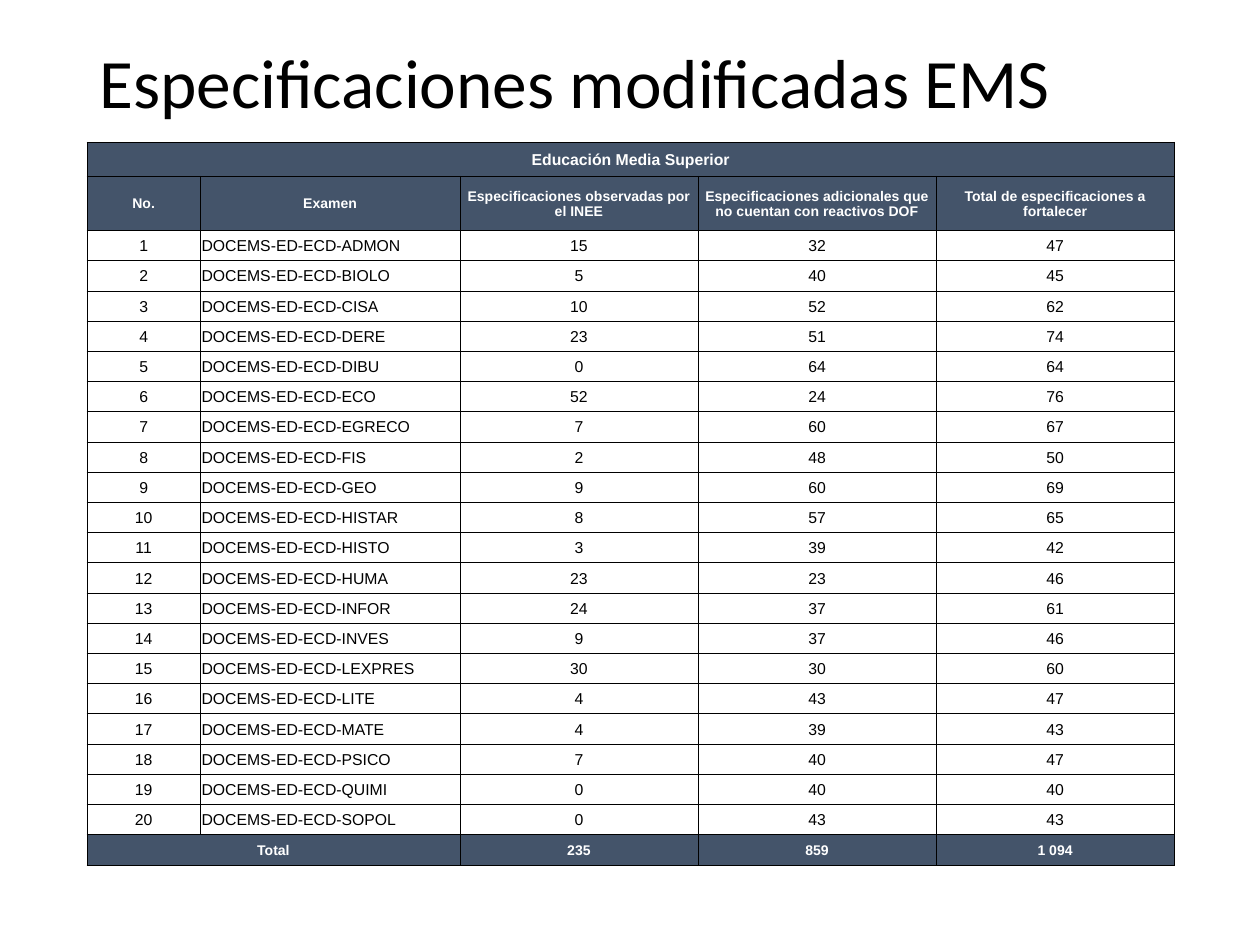
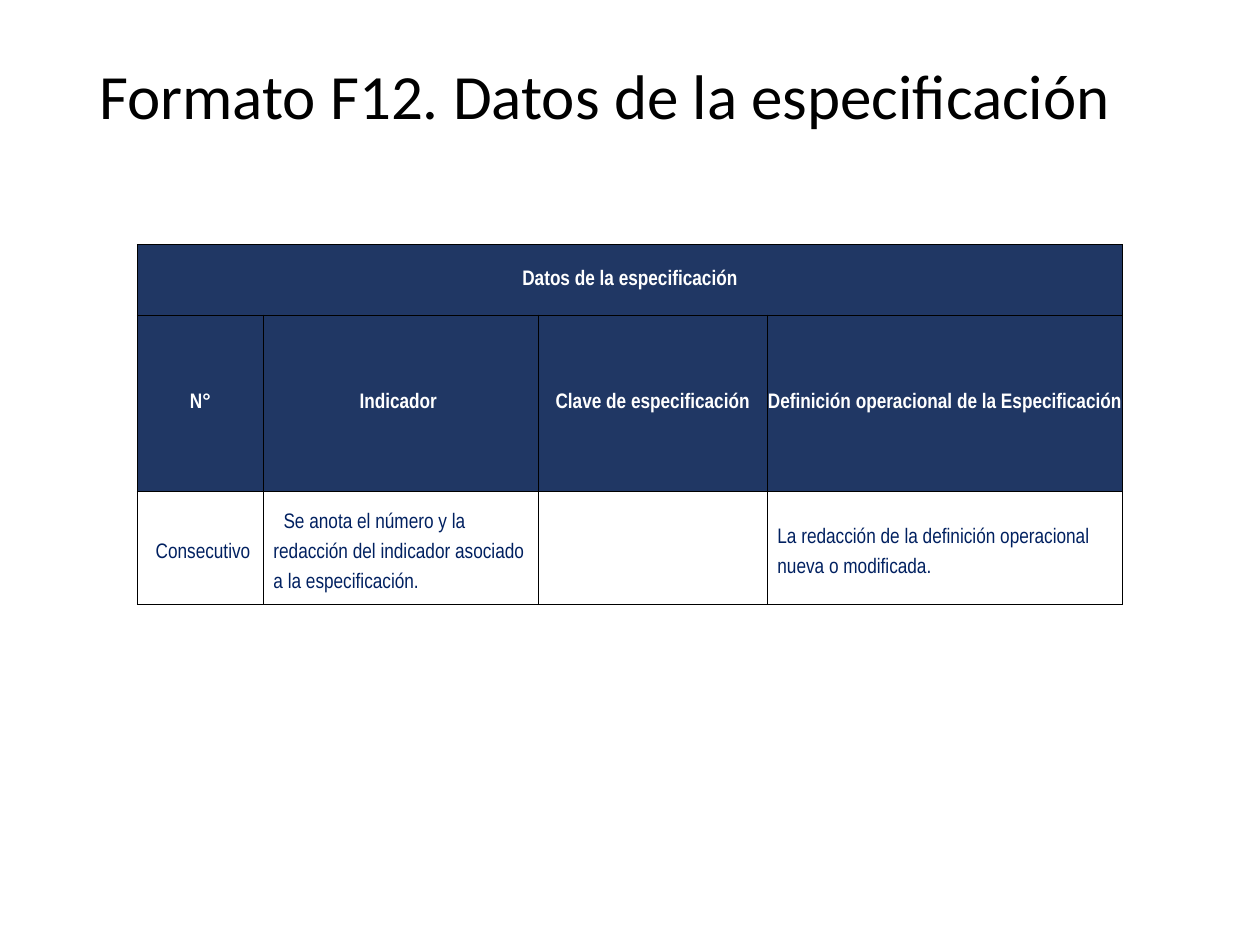
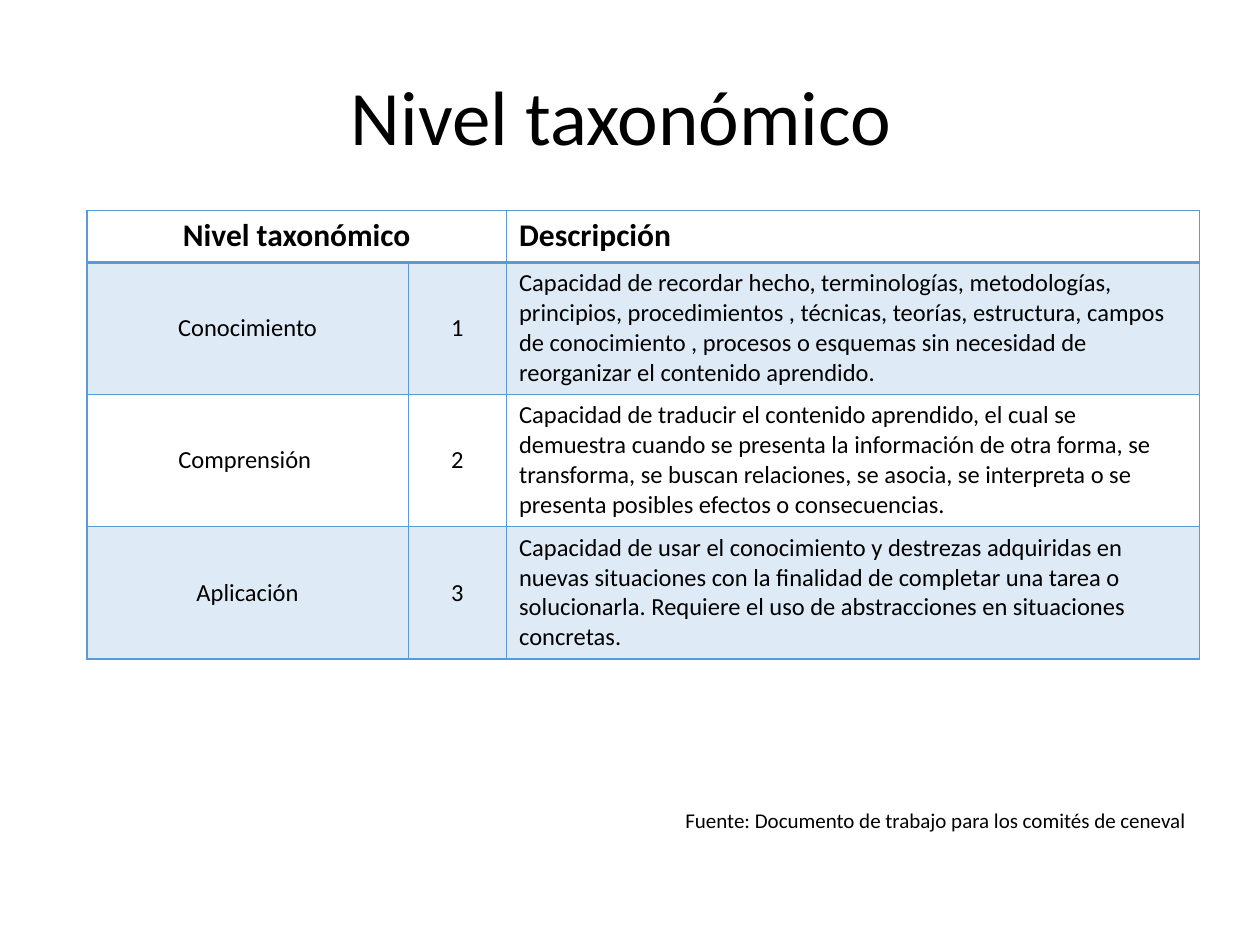
from pptx import Presentation
from pptx import util as u
from pptx.dml.color import RGBColor
from pptx.enum import text
from pptx.oxml import parse_xml
from pptx.oxml.ns import nsdecls

COLORS = {
    "ink": "000000", "white": "FFFFFF", "slate": "44546A", "navy": "203764",
    "navy_text": "002060", "blue": "5B9BD5", "pale": "DEEBF7",
}
LEFT, CENTER = text.PP_ALIGN.LEFT, text.PP_ALIGN.CENTER
RIGHT, JUSTIFY = text.PP_ALIGN.RIGHT, text.PP_ALIGN.JUSTIFY
MIDDLE, TOP = text.MSO_ANCHOR.MIDDLE, text.MSO_ANCHOR.TOP

EXAMS = [
    ("ADMON", 15, 32), ("BIOLO", 5, 40), ("CISA", 10, 52), ("DERE", 23, 51),
    ("DIBU", 0, 64), ("ECO", 52, 24), ("EGRECO", 7, 60), ("FIS", 2, 48),
    ("GEO", 9, 60), ("HISTAR", 8, 57), ("HISTO", 3, 39), ("HUMA", 23, 23),
    ("INFOR", 24, 37), ("INVES", 9, 37), ("LEXPRES", 30, 30), ("LITE", 4, 43),
    ("MATE", 4, 39), ("PSICO", 7, 40), ("QUIMI", 0, 40), ("SOPOL", 0, 43),
]

LEVELS = [
    ("Conocimiento",
     "Capacidad de recordar hecho, terminologías, metodologías, principios, procedimientos , "
     "técnicas, teorías, estructura, campos de conocimiento , procesos o esquemas sin necesidad "
     "de reorganizar el contenido aprendido."),
    ("Comprensión ",
     "Capacidad de traducir el contenido aprendido, el cual se demuestra cuando se presenta la "
     "información de otra forma, se transforma, se buscan relaciones, se asocia, se interpreta o "
     "se presenta posibles efectos o consecuencias."),
    ("Aplicación",
     "Capacidad de usar el conocimiento y destrezas adquiridas en nuevas situaciones con la "
     "finalidad de completar una tarea o solucionarla. Requiere el uso de abstracciones en "
     "situaciones concretas."),
]


def rgb(name):
    """Return the named colour."""
    return RGBColor.from_string(COLORS[name])


def style(p, size, font, color="ink", bold=False, align=LEFT):
    """Format a paragraph and its runs."""
    p.alignment = align
    for r in p.runs:
        r.font.size, r.font.name, r.font.bold = u.Pt(size), font, bold
        r.font.color.rgb = rgb(color)


def add_text(s, box, content, size, align=LEFT, anchor=TOP):
    """Add a one-paragraph Calibri text box and return the paragraph."""
    tf = s.shapes.add_textbox(*map(u.Inches, box)).text_frame
    tf.word_wrap, tf.vertical_anchor = True, anchor
    tf.text = content
    p = tf.paragraphs[0]
    style(p, size, "Calibri", align=align)
    return p


def add_title(s, content, height, size, align=LEFT):
    """Add the slide title."""
    p = add_text(s, (0.69, 0.4, 8.62, height), content, size, align, MIDDLE)
    p.line_spacing = 0.9


def add_grid(s, left, top, cols, rows):
    """Add a plain table with the given column widths and row heights."""
    box = map(u.Inches, (left, top, sum(cols), sum(rows)))
    table = s.shapes.add_table(len(rows), len(cols), *box).table
    table.first_row = table.horz_banding = False
    for col, width in zip(table.columns, cols):
        col.width = u.Inches(width)
    for row, height in zip(table.rows, rows):
        row.height = u.Inches(height)
    return table


def set_borders(cell, color, **widths):
    """Draw the four cell borders, given as L, R, T and B widths in points."""
    tc_pr = cell._tc.get_or_add_tcPr()
    for i, side in enumerate("LRTB"):
        tc_pr.insert(i, parse_xml(
            f'<a:ln{side} {nsdecls("a")} w="{u.Pt(widths[side])}"><a:solidFill>'
            f'<a:srgbClr val="{COLORS[color]}"/></a:solidFill></a:ln{side}>'))


def set_cell(cell, content, size, font, color="ink", bold=False, align=CENTER,
             anchor=MIDDLE, fill=None, margins=None):
    """Fill in a cell and return its paragraph."""
    cell.text = content
    cell.vertical_anchor = anchor
    if margins:
        (cell.margin_left, cell.margin_top,
         cell.margin_right, cell.margin_bottom) = map(u.Inches, margins)
    if fill:
        cell.fill.solid()
        cell.fill.fore_color.rgb = rgb(fill)
    else:
        cell.fill.background()
    p = cell.text_frame.paragraphs[0]
    style(p, size, font, color, bold, align)
    return p


def exams_slide(s):
    """Build the table of modified specifications per exam."""
    add_title(s, "Especificaciones modificadas EMS", 0.56, 39.6)
    observed = sum(e[1] for e in EXAMS)
    added = sum(e[2] for e in EXAMS)
    rows = [
        ["Educación Media Superior", "", "", "", ""],
        ["No.", "Examen", "Especificaciones observadas por el INEE",
         "Especificaciones adicionales que no cuentan con reactivos DOF",
         "Total de especificaciones a fortalecer"],
        *([n, f"DOCEMS-ED-ECD-{key}", a, b, a + b] for n, (key, a, b) in enumerate(EXAMS, 1)),
        ["Total", "", observed, added, f"{observed + added:,}".replace(",", " ")],
    ]
    last = len(rows) - 1
    table = add_grid(s, 0.69, 1.13, [0.9, 2.06, 1.89, 1.89, 1.89],
                     [0.27, 0.43] + [0.24] * (last - 1))
    for i, row in enumerate(rows):
        header = i in (0, 1, last)
        for j, value in enumerate(row):
            cell = table.cell(i, j)
            set_cell(cell, str(value), 8 if i in (1, last) else 9, "Arial",
                     "white" if header else "ink", header,
                     JUSTIFY if j == 1 and not header else CENTER,
                     fill="slate" if header else None, margins=(0.01, 0.01, 0.01, 0))
            set_borders(cell, "ink", L=0.5, R=0.5, T=0.5, B=0.5)
    table.cell(0, 0).merge(table.cell(0, 4))
    table.cell(last, 0).merge(table.cell(last, 1))


def format_slide(s):
    """Build the table that explains the fields of the F12 form."""
    add_title(s, "Formato F12. Datos de la especificación", 0.78, 36)
    rows = [
        ["Datos de la especificación", "", "", ""],
        ["N°", "Indicador ", "Clave de especificación",
         "Definición operacional de la Especificación"],
        ["Consecutivo ",
         "Se anota el número y la redacción del indicador asociado a la especificación.", "",
         "La redacción de la definición operacional nueva o modificada."],
    ]
    table = add_grid(s, 1.09, 1.94, [1, 2.18, 1.82, 2.82], [0.56, 1.4, 0.7])
    for i, row in enumerate(rows):
        header = i < 2
        for j, value in enumerate(row):
            cell = table.cell(i, j)
            p = set_cell(cell, value, 12, "Arial Narrow", "white" if header else "navy_text",
                         header, CENTER if header or j == 0 else LEFT,
                         fill="navy" if header else None, margins=(0, 0, 0, 0))
            if value and not header:
                p.line_spacing = 1.5
                p_pr = p._p.get_or_add_pPr()
                p_pr.set("marL", str(u.Inches(0.08)))
                p_pr.set("indent", str(u.Inches(0.08 if j == 1 else 0)))
            set_borders(cell, "ink", L=0.5, R=0.5, T=0.5, B=0.5)
    table.cell(0, 0).merge(table.cell(0, 3))


def levels_slide(s):
    """Build the table of taxonomic levels with its source line."""
    add_title(s, "Nivel taxonómico ", 1.11, 44, CENTER)
    rows = [["Nivel taxonómico", "", "Descripción"],
            *([name, str(n), about] for n, (name, about) in enumerate(LEVELS, 1))]
    table = add_grid(s, 0.69, 1.67, [2.55, 0.78, 5.5], [0.41] + [1.05] * len(LEVELS))
    for i, row in enumerate(rows):
        header = i == 0
        for j, value in enumerate(row):
            cell = table.cell(i, j)
            set_cell(cell, value, 18 if header else 14, "Calibri", bold=header,
                     align=LEFT if j == 2 else CENTER,
                     anchor=TOP if header or j == 2 else MIDDLE,
                     fill="pale" if i % 2 else None)
            set_borders(cell, "blue", L=1, R=1, T=2 if i == 1 else 1, B=2 if header else 1)
    table.cell(0, 0).merge(table.cell(0, 1))
    add_text(s, (3.29, 6.36, 6.22, 0.3),
             "Fuente: Documento de trabajo para los comités de ceneval", 12, RIGHT)


def main():
    """Build the presentation."""
    prs = Presentation()
    prs.slide_width, prs.slide_height = u.Inches(10), u.Inches(7.5)
    for build in (exams_slide, format_slide, levels_slide):
        build(prs.slides.add_slide(prs.slide_layouts[6]))
    prs.save("out.pptx")


if __name__ == "__main__":
    main()
